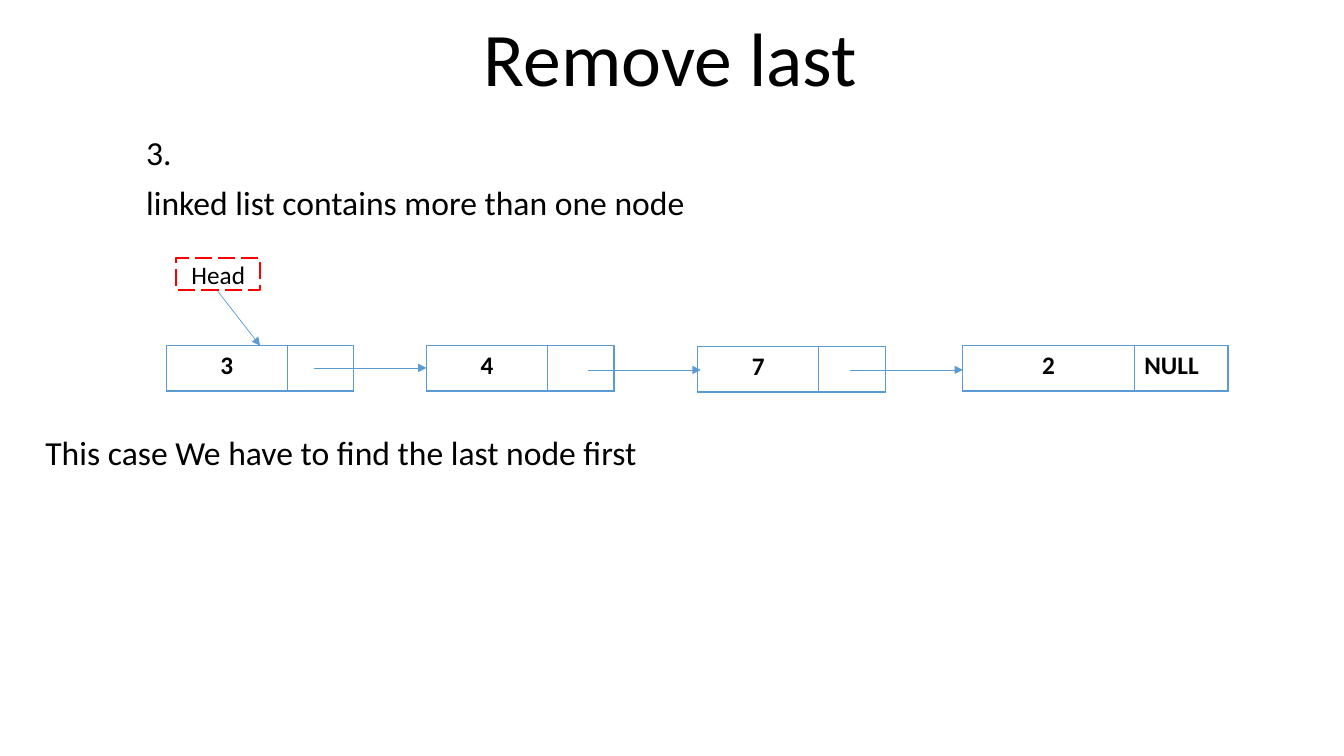
from dataclasses import dataclass

from lxml import etree
from pptx import Presentation
from pptx import util as u
from pptx.dml.color import RGBColor
from pptx.enum import dml, shapes, text
from pptx.oxml import ns

PX = 9144


@dataclass(frozen=True)
class Theme:
    """Colours, font and type sizes of the slide."""
    font: str = "Calibri"
    ink: str = "000000"
    paper: str = "FFFFFF"
    node: str = "5B9BD5"
    head: str = "FF0000"
    title_size: int = 54
    body_size: int = 24
    node_size: int = 18


THEME = Theme()


def px(*lengths):
    """Turn px lengths into EMU."""
    return [u.Emu(length * PX) for length in lengths]


def place(shape, box):
    """Move and size a shape to a px box."""
    shape.left, shape.top, shape.width, shape.height = px(*box)


def add_run(paragraph, words, size, bold=False):
    """Add one formatted run."""
    run = paragraph.add_run()
    run.text = words
    run.font.name = THEME.font
    run.font.size = u.Pt(size)
    run.font.bold = bold
    run.font.color.rgb = RGBColor.from_string(THEME.ink)


def add_title(slide, box, words):
    """Fill the title placeholder."""
    title = slide.shapes.title
    place(title, box)
    frame = title.text_frame
    frame.auto_size = text.MSO_AUTO_SIZE.NONE
    frame.vertical_anchor = text.MSO_ANCHOR.TOP
    frame.margin_top = 0
    paragraph = frame.paragraphs[0]
    paragraph.alignment = text.PP_ALIGN.CENTER
    paragraph.line_spacing = 0.9
    add_run(paragraph, words, THEME.title_size)


def add_body(slide, box, lines):
    """Fill the body placeholder with (words, indent, space before) lines."""
    body = slide.placeholders[1]
    place(body, box)
    frame = body.text_frame
    frame.auto_size = text.MSO_AUTO_SIZE.NONE
    frame.vertical_anchor = text.MSO_ANCHOR.TOP
    for index, (words, indent, space) in enumerate(lines):
        paragraph = frame.add_paragraph() if index else frame.paragraphs[0]
        properties = paragraph._p.get_or_add_pPr()
        properties.set("marL", str(indent * PX))
        properties.set("indent", "0")
        paragraph.alignment = text.PP_ALIGN.LEFT
        paragraph.line_spacing = 0.9
        paragraph.space_before = u.Pt(space)
        add_run(paragraph, words, THEME.body_size)


def set_borders(cell):
    """Outline a cell, with a heavier bottom edge."""
    properties = cell._tc.get_or_add_tcPr()
    for edge, width in (("L", 1), ("R", 1), ("T", 1), ("B", 2)):
        line = etree.SubElement(properties, ns.qn(f"a:ln{edge}"), w=str(u.Pt(width)))
        fill = etree.SubElement(line, ns.qn("a:solidFill"))
        etree.SubElement(fill, ns.qn("a:srgbClr"), val=THEME.node)


def add_node(slide, box, value, link, link_width):
    """Draw a list node as a value cell and a link cell."""
    left, top, width, height = box
    table = slide.shapes.add_table(1, 2, *px(*box)).table
    table.first_row = table.horz_banding = False
    table.rows[0].height = u.Emu(height * PX)
    alignments = (text.PP_ALIGN.CENTER, text.PP_ALIGN.LEFT)
    widths = px(width - link_width, link_width)
    for column, words in enumerate((value, link)):
        table.columns[column].width = widths[column]
        cell = table.cell(0, column)
        set_borders(cell)
        cell.fill.background()
        paragraph = cell.text_frame.paragraphs[0]
        paragraph.alignment = alignments[column]
        if words:
            add_run(paragraph, words, THEME.node_size, bold=True)


def add_arrow(slide, start, end):
    """Draw a thin arrow between two px points."""
    arrow = slide.shapes.add_connector(shapes.MSO_CONNECTOR.STRAIGHT, *px(*start, *end))
    arrow.line.color.rgb = RGBColor.from_string(THEME.node)
    arrow.line.width = u.Pt(0.5)
    etree.SubElement(arrow.line._get_or_add_ln(), ns.qn("a:tailEnd"), type="triangle")
    etree.SubElement(arrow._element.spPr, ns.qn("a:effectLst"))


def add_head(slide, box):
    """Draw the dashed head pointer box."""
    head = slide.shapes.add_shape(shapes.MSO_SHAPE.RECTANGLE, *px(*box))
    head.shadow.inherit = False
    head.fill.solid()
    head.fill.fore_color.rgb = RGBColor.from_string(THEME.paper)
    head.line.color.rgb = RGBColor.from_string(THEME.head)
    head.line.width = u.Pt(1.5)
    head.line.dash_style = dml.MSO_LINE.LONG_DASH
    frame = head.text_frame
    frame.word_wrap = True
    frame.vertical_anchor = text.MSO_ANCHOR.MIDDLE
    paragraph = frame.paragraphs[0]
    paragraph.alignment = text.PP_ALIGN.CENTER
    add_run(paragraph, "Head", THEME.node_size)


def add_linked_list(slide, box):
    """Draw the head pointer, the nodes and their links inside a px box."""
    left, top, width, height = box
    node_top, node_height = top + height - 46, 45
    nodes = (
        (0, 0, 186, 66, "3", ""),
        (258, 0, 186, 66, "4", ""),
        (527, 1, 186, 66, "7", ""),
        (790, 0, 263, 93, "2", "NULL"),
    )
    for x, y, node_width, link_width, value, link in nodes:
        node_box = (left + x, node_top + y, node_width, node_height)
        add_node(slide, node_box, value, link, link_width)
    for x, y in ((146, 22), (418, 24), (678, 24)):
        add_arrow(slide, (left + x, node_top + y), (left + x + 112, node_top + y))
    add_head(slide, (left + 10, top, 83, 32))
    add_arrow(slide, (left + 51, top + 33), (left + 93, node_top))


def main():
    """Build and save the slide."""
    presentation = Presentation()
    presentation.slide_width, presentation.slide_height = px(1333, 750)
    slide = presentation.slides.add_slide(presentation.slide_layouts[0])
    add_title(slide, (165, 21, 1000, 169), "Remove last")
    add_body(slide, (35, 130, 1253, 610), (
        ("3.", 100, 0),
        ("linked list contains more than one node", 100, 10),
        ("This case We have to find the last node first", 0, 153),
    ))
    add_linked_list(slide, (165, 256, 1053, 133))
    presentation.save("out.pptx")


if __name__ == "__main__":
    main()
